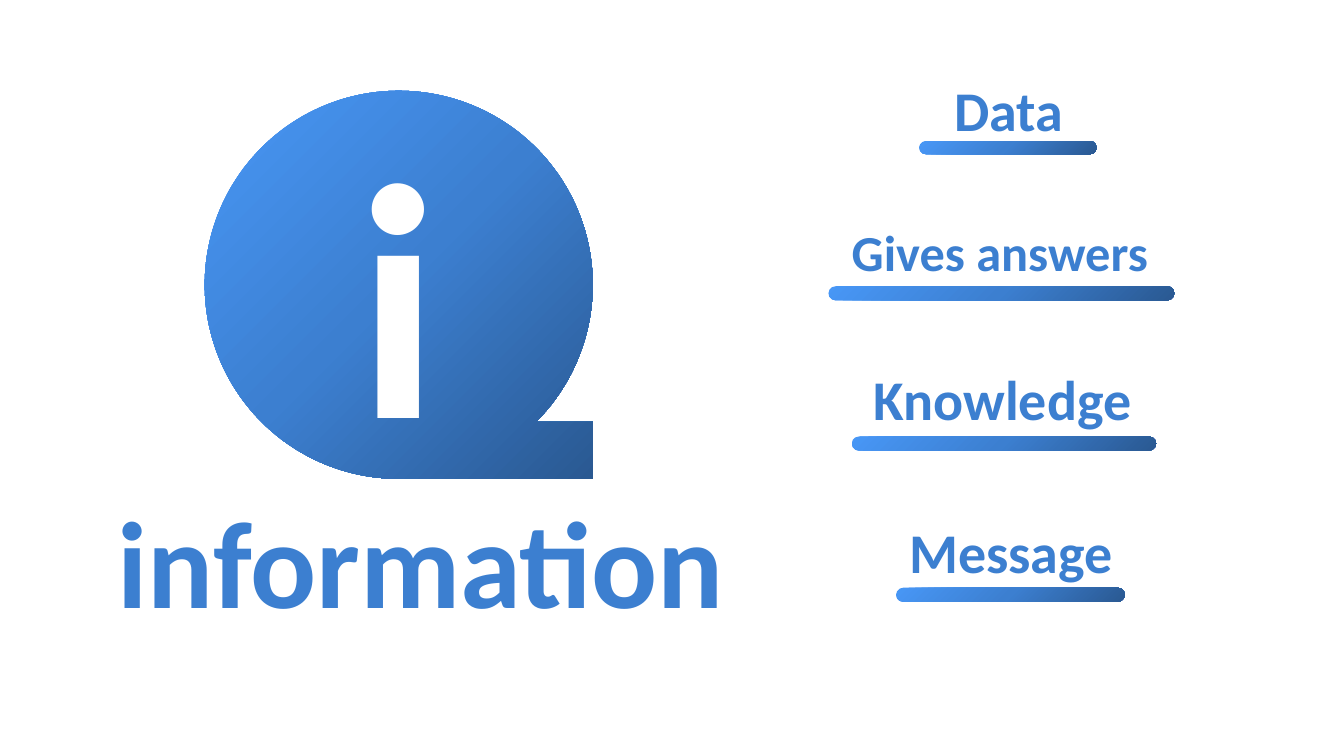
from lxml.etree import SubElement
from pptx import Presentation
from pptx.dml.color import RGBColor
from pptx.enum.shapes import MSO_SHAPE
from pptx.enum.text import MSO_ANCHOR, MSO_AUTO_SIZE, PP_ALIGN
from pptx.oxml.ns import qn
from pptx.util import Pt

NAVY = RGBColor(0x2A, 0x59, 0x92)
BLUE = RGBColor(0x3C, 0x7F, 0xD0)
SKY = RGBColor(0x48, 0x97, 0xF6)
WHITE = RGBColor(0xFF, 0xFF, 0xFF)

# wording, size, text box (left, top, width, height), wraps,
# underline bar (left, top, width, height)
KEYWORDS = [
    ("Gives answers", 36, (589.7, 154.1, 249.1, 51.1), True,
     (591.8, 204.5, 247, 10.1)),
    ("Data", 40, (673.9, 50.4, 92.9, 55.4), False,
     (656.6, 100.8, 126.7, 9.4)),
    ("Knowledge", 40, (615.6, 257, 200.9, 55.4), False,
     (608.4, 311.8, 217.4, 10.1)),
    ("Message", 40, (641.5, 365.8, 161.3, 55.4), False,
     (640.1, 419.8, 163.4, 10.1)),
]


class Painter:
    def __init__(self, page):
        self.page = page
        self.font = "Calibri"
        self.stops = [(0, NAVY), (50, BLUE), (100, SKY)]

    def blend(self, fill, element):
        """Give a fill the radial gradient that is dark at the bottom right."""
        fill.solid()
        solid = next(element.iter(qn("a:solidFill")))
        gradient = solid.makeelement(qn("a:gradFill"), {"rotWithShape": "1"})
        stop_list = SubElement(gradient, qn("a:gsLst"))
        for percent, color in self.stops:
            stop = SubElement(stop_list, qn("a:gs"), pos=str(percent * 1000))
            SubElement(stop, qn("a:srgbClr"), val=str(color))
        circle = SubElement(gradient, qn("a:path"), {"path": "circle"})
        SubElement(circle, qn("a:fillToRect"), l="100000", t="100000")
        SubElement(gradient, qn("a:tileRect"), r="-100000", b="-100000")
        solid.getparent().replace(solid, gradient)

    def shape(self, shapes, kind, place):
        shape = shapes.add_shape(kind, *map(Pt, place))
        shape.shadow.inherit = False
        shape.line.fill.background()
        self.blend(shape.fill, shape.element)
        return shape

    def add_words(self, frame, words, size):
        para = frame.paragraphs[0]
        para.alignment = PP_ALIGN.CENTER
        span = para.add_run()
        span.text = words
        span.font.name = self.font
        span.font.size = Pt(size)
        span.font.bold = True
        return span

    def label(self, shapes, words, size, place, wraps=False):
        box = shapes.add_textbox(*map(Pt, place))
        box.text_frame.word_wrap = wraps
        box.text_frame.auto_size = MSO_AUTO_SIZE.SHAPE_TO_FIT_TEXT
        span = self.add_words(box.text_frame, words, size)
        self.blend(span.font.fill, box.element)

    def badge(self, letter, size, place):
        badge = self.shape(self.page.shapes,
                           MSO_SHAPE.FLOWCHART_SEQUENTIAL_ACCESS_STORAGE, place)
        badge.text_frame.vertical_anchor = MSO_ANCHOR.MIDDLE
        span = self.add_words(badge.text_frame, letter, size)
        span.font.color.rgb = WHITE

    def keyword(self, words, size, place, wraps, bar_place):
        group = self.page.shapes.add_group_shape()
        bar = self.shape(group.shapes, MSO_SHAPE.ROUNDED_RECTANGLE, bar_place)
        bar.adjustments[0] = 0.5
        self.label(group.shapes, words, size, place, wraps)


def main():
    deck = Presentation()
    deck.slide_width, deck.slide_height = Pt(960), Pt(540)
    page = deck.slides.add_slide(deck.slide_layouts[6])
    painter = Painter(page)
    painter.badge("i", 239, (146.2, 64.8, 277.2, 277.2))
    painter.label(page.shapes, "information", 88, (74.2, 343.4, 452.9, 113.8))
    for keyword in KEYWORDS:
        painter.keyword(*keyword)
    deck.save("out.pptx")


if __name__ == "__main__":
    main()
